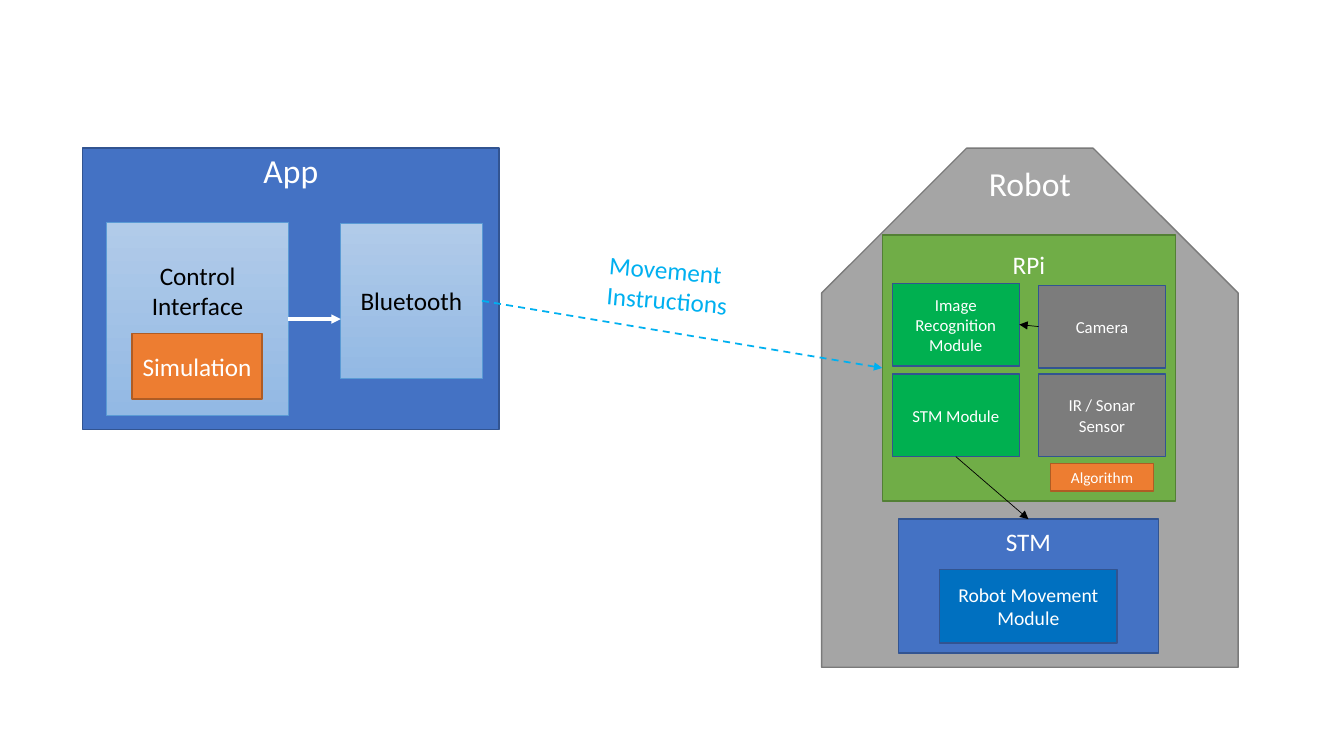
from lxml.etree import SubElement
from pptx import Presentation
from pptx.dml.color import RGBColor
from pptx.enum.dml import MSO_LINE as Dash
from pptx.enum.shapes import MSO_CONNECTOR as Connector, MSO_SHAPE as Shape
from pptx.enum.text import MSO_ANCHOR as Anchor, PP_ALIGN as Align
from pptx.oxml.ns import qn
from pptx.util import Inches, Pt

COLORS = {
    "white": "FFFFFF", "black": "000000", "sky": "00B0F0",
    "blue": "4472C4", "navy": "325491", "deep": "0070C0",
    "pale_top": "B1CBE9", "pale_bottom": "93B9E4", "pale_edge": "5B9BD5",
    "silver": "A5A5A5", "silver_edge": "7A7A7A", "gray": "7C7C7C",
    "green": "70AD47", "green_edge": "538035", "emerald": "00B050",
    "orange": "ED7D31", "orange_edge": "AF5C24",
}
TOP, LEFT, BOTTOM, RIGHT = range(4)


class Diagram:
    font = "Calibri"

    def __init__(self, slide):
        self.shapes = slide.shapes

    def color(self, name):
        return RGBColor.from_string(COLORS[name])

    def add_text(self, shape, text, size, color, align):
        frame = shape.text_frame
        frame.word_wrap = True
        paragraph = frame.paragraphs[0]
        paragraph.alignment = align
        run = paragraph.add_run()
        run.text = text
        run.font.name = self.font
        run.font.size = Pt(size)
        run.font.color.rgb = self.color(color)
        return frame

    def block(self, text, at, size, fill, edge="navy", text_top=None,
              ink="white", edge_width=1, kind=Shape.RECTANGLE):
        shape = self.shapes.add_shape(kind, *map(Inches, at))
        shape.shadow.inherit = False
        if isinstance(fill, tuple):
            shape.fill.gradient()
            shape.fill.gradient_angle = 270
            for stop, name, position in zip(shape.fill.gradient_stops, fill, (0, 1)):
                stop.color.rgb = self.color(name)
                stop.position = position
        else:
            shape.fill.solid()
            shape.fill.fore_color.rgb = self.color(fill)
        shape.line.color.rgb = self.color(edge)
        shape.line.width = Pt(edge_width)
        if text:
            frame = self.add_text(shape, text, size, ink, Align.CENTER)
            frame.vertical_anchor = Anchor.MIDDLE
            if text_top is not None:
                frame.vertical_anchor = Anchor.TOP
                frame.margin_top = Inches(text_top)
        return shape

    def pale_block(self, text, at, text_top=None):
        return self.block(text, at, 18, ("pale_top", "pale_bottom"),
                          "pale_edge", text_top, "black", 0.5)

    def label(self, text, at, size, color, align=Align.LEFT, rotation=0):
        box = self.shapes.add_textbox(*map(Inches, at))
        box.rotation = rotation
        self.add_text(box, text, size, color, align)

    def arrow(self, start, end, color, width, dash=None):
        source, site = start
        line = self.shapes.add_connector(Connector.STRAIGHT, 0, 0, 0, 0)
        line.begin_connect(source, site)
        target, site = end
        if site is None:
            line.end_x, line.end_y = target.left, line.begin_y
        else:
            line.end_connect(target, site)
        line.line.color.rgb = self.color(color)
        line.line.width = Pt(width)
        if dash:
            line.line.dash_style = dash
        properties = line._element.spPr
        SubElement(properties.find(qn("a:ln")), qn("a:tailEnd"), type="triangle")
        SubElement(properties, qn("a:effectLst"))


def draw_app(diagram):
    diagram.block("App", (0.82, 1.47, 4.13, 2.79), 24, "blue", text_top=0.02)
    control = diagram.pale_block("Control Interface", (1.06, 2.21, 1.8, 1.91), 0.37)
    bluetooth = diagram.pale_block("Bluetooth", (3.38, 2.22, 1.4, 1.53))
    diagram.block("Simulation", (1.31, 3.31, 1.29, 0.65), 18, "orange", "orange_edge")
    diagram.arrow((control, RIGHT), (bluetooth, None), "white", 2.25)
    return bluetooth


def draw_robot(diagram):
    body = diagram.block("", (8.15, 1.47, 4.13, 5.15), 24, "silver", "silver_edge",
                         kind=Shape.SNIP_2_SAME_RECTANGLE)
    body.adjustments[0] = 0.348
    diagram.label("Robot", (8.15, 1.57, 4.13, 0.5), 24, "white", Align.CENTER)
    rpi = diagram.block("RPi", (8.75, 2.33, 2.91, 2.64), 18, "green", "green_edge", 0.14)
    modules = {
        name: diagram.block(name, (left, top, 1.26, 0.82), 12, fill)
        for name, left, top, fill in (
            ("Image Recognition Module", 8.85, 2.81, "emerald"),
            ("Camera", 10.3, 2.83, "gray"),
            ("STM Module", 8.85, 3.71, "emerald"),
            ("IR / Sonar Sensor", 10.3, 3.71, "gray"),
        )
    }
    diagram.block("Algorithm", (10.42, 4.6, 1.02, 0.27), 11, "orange", "orange_edge")
    stm = diagram.block("STM", (8.91, 5.15, 2.58, 1.33), 18, "blue", text_top=0.07)
    diagram.block("Robot Movement Module", (9.32, 5.65, 1.76, 0.73), 14, "deep")
    diagram.arrow((modules["Camera"], LEFT),
                  (modules["Image Recognition Module"], RIGHT), "black", 0.5)
    diagram.arrow((modules["STM Module"], BOTTOM), (stm, TOP), "black", 0.5)
    return rpi


def main():
    deck = Presentation()
    deck.slide_width, deck.slide_height = Inches(13.33), Inches(7.5)
    diagram = Diagram(deck.slides.add_slide(deck.slide_layouts[6]))
    bluetooth = draw_app(diagram)
    rpi = draw_robot(diagram)
    diagram.arrow((bluetooth, RIGHT), (rpi, LEFT), "sky", 1.25, Dash.DASH)
    diagram.label("Movement Instructions", (5.93, 2.5, 1.99, 0.71), 18, "sky", rotation=4.9)
    deck.save("out.pptx")


if __name__ == "__main__":
    main()
